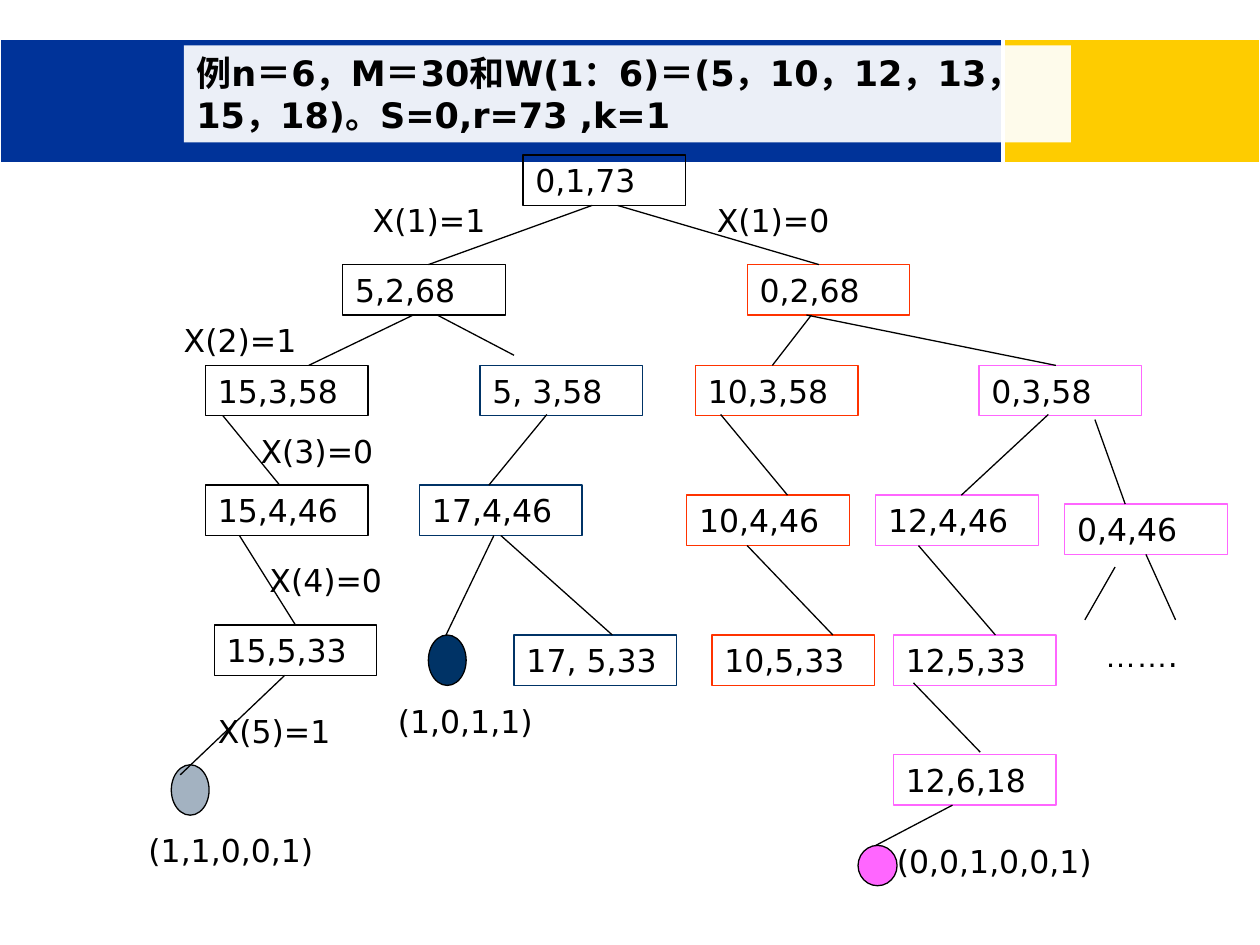
import dataclasses
import typing

import lxml.etree
import pptx
import pptx.dml.color
import pptx.enum.shapes
import pptx.enum.text
import pptx.oxml.ns
import pptx.util

PX = 9144
SIDE_TOP, SIDE_BOTTOM = 0, 2
SNAP = 3
FONT = "DejaVu Sans"
BLACK, WHITE = "000000", "FFFFFF"
NAVY, RED, PINK = "003366", "FF3300", "FF66FF"
SHAPES = pptx.enum.shapes.MSO_SHAPE


@dataclasses.dataclass(frozen=True)
class Area:
    left: int
    top: int
    width: int = 129
    height: int = 40


@dataclasses.dataclass(frozen=True)
class Node:
    text: str
    area: Area
    color: str = BLACK


@dataclasses.dataclass(frozen=True)
class Leaf:
    area: Area
    fill: str


@dataclasses.dataclass(frozen=True)
class Label:
    text: str
    area: Area


class Edge(typing.NamedTuple):
    x1: int
    y1: int
    x2: int
    y2: int


TITLE = "例n＝6，M＝30和W(1：6)＝(5，10，12，13，15，18)。S=0,r=73 ,k=1"

NODES = [
    Node("0,1,73", Area(415, 123)),
    Node("5,2,68", Area(272, 210)),
    Node("15,3,58", Area(163, 290)),
    Node("15,4,46", Area(163, 385)),
    Node("15,5,33", Area(170, 496)),
    Node("5, 3,58", Area(381, 290), NAVY),
    Node("17,4,46", Area(333, 385), NAVY),
    Node("17, 5,33", Area(408, 504), NAVY),
    Node("0,2,68", Area(593, 210), RED),
    Node("10,3,58", Area(552, 290), RED),
    Node("10,4,46", Area(545, 393), RED),
    Node("10,5,33", Area(565, 504), RED),
    Node("0,3,58", Area(777, 290), PINK),
    Node("12,4,46", Area(695, 393), PINK),
    Node("12,5,33", Area(709, 504), PINK),
    Node("12,6,18", Area(709, 599), PINK),
    Node("0,4,46", Area(845, 400), PINK),
]

LEAVES = [
    Leaf(Area(136, 607, 30, 40), "A3B2C1"),
    Leaf(Area(340, 504, 30, 40), NAVY),
    Leaf(Area(681, 671, 31, 32), PINK),
]

EDGES = [
    Edge(470, 163, 340, 210),
    Edge(490, 163, 650, 210),
    Edge(328, 250, 245, 290),
    Edge(347, 250, 408, 282),
    Edge(177, 330, 222, 385),
    Edge(190, 425, 236, 496),
    Edge(226, 536, 143, 615),
    Edge(434, 329, 388, 385),
    Edge(392, 425, 354, 504),
    Edge(395, 425, 486, 504),
    Edge(644, 250, 613, 290),
    Edge(640, 250, 838, 290),
    Edge(572, 329, 625, 393),
    Edge(593, 433, 661, 504),
    Edge(832, 329, 763, 393),
    Edge(869, 333, 893, 400),
    Edge(729, 433, 790, 504),
    Edge(725, 542, 778, 597),
    Edge(756, 639, 695, 671),
    Edge(885, 450, 861, 492),
    Edge(909, 442, 933, 492),
]

LABELS = [
    Label("X(1)=1", Area(286, 155)),
    Label("X(1)=0", Area(559, 155)),
    Label("X(2)=1", Area(136, 250)),
    Label("X(3)=0", Area(197, 338)),
    Label("X(4)=0", Area(204, 440)),
    Label("X(5)=1", Area(163, 560)),
    Label("(1,0,1,1)", Area(306, 552, 152)),
    Label("(1,1,0,0,1)", Area(108, 655, 152)),
    Label("(0,0,1,0,0,1)", Area(702, 663, 205)),
]


def rgb(color: str) -> pptx.dml.color.RGBColor:
    return pptx.dml.color.RGBColor.from_string(color)


def bounds(area: Area) -> list[int]:
    return [side * PX for side in dataclasses.astuple(area)]


def draw_shape(page, kind, area: Area, fill: str | None, line: str | None):
    shape = page.shapes.add_shape(kind, *bounds(area))
    shape.shadow.inherit = False
    if fill:
        shape.fill.solid()
        shape.fill.fore_color.rgb = rgb(fill)
    else:
        shape.fill.background()
    if line:
        shape.line.color.rgb = rgb(line)
        shape.line.width = pptx.util.Pt(0.75)
    else:
        shape.line.fill.background()
    return shape


def write_text(shape, text: str, size: int = 18, bold: bool = False):
    frame = shape.text_frame
    frame.word_wrap = True
    frame.auto_size = pptx.enum.text.MSO_AUTO_SIZE.SHAPE_TO_FIT_TEXT
    frame.vertical_anchor = pptx.enum.text.MSO_ANCHOR.TOP
    para = frame.paragraphs[0]
    para.alignment = pptx.enum.text.PP_ALIGN.LEFT
    para.font.name = FONT
    para.font.size = pptx.util.Pt(size)
    para.font.bold = bold
    para.font.color.rgb = rgb(BLACK)
    para.add_run().text = text
    return para


def draw_label(page, label: Label):
    return write_text(page.shapes.add_textbox(*bounds(label.area)), label.text)


def draw_title(page) -> None:
    box = draw_shape(page, SHAPES.RECTANGLE, Area(146, 36, 704, 77), WHITE, None)
    color = box.fill._xPr.find(".//" + pptx.oxml.ns.qn("a:srgbClr"))
    lxml.etree.SubElement(color, pptx.oxml.ns.qn("a:alpha"), val="92000")
    write_text(box, TITLE, size=20, bold=True)


def is_joined(x: int, y: int, area: Area, side: int) -> bool:
    side_y = area.top + (area.height if side == SIDE_BOTTOM else 0)
    return abs(x - area.left - area.width / 2) < SNAP and abs(y - side_y) < SNAP


def draw_edge(page, edge: Edge, boxes: list) -> None:
    straight = pptx.enum.shapes.MSO_CONNECTOR.STRAIGHT
    line = page.shapes.add_connector(straight, *[value * PX for value in edge])
    line.line.color.rgb = rgb(BLACK)
    line.line.width = pptx.util.Pt(0.75)
    lxml.etree.SubElement(line._element.spPr, pptx.oxml.ns.qn("a:effectLst"))
    for node, box in zip(NODES, boxes):
        if is_joined(edge.x1, edge.y1, node.area, SIDE_BOTTOM):
            line.begin_connect(box, SIDE_BOTTOM)
        if is_joined(edge.x2, edge.y2, node.area, SIDE_TOP):
            line.end_connect(box, SIDE_TOP)


def main() -> None:
    deck = pptx.Presentation()
    deck.slide_width, deck.slide_height = 1000 * PX, 750 * PX
    page = deck.slides.add_slide(deck.slide_layouts[6])
    draw_shape(page, SHAPES.RECTANGLE, Area(797, 31, 203, 98), "FECC00", WHITE)
    draw_shape(page, SHAPES.RECTANGLE, Area(0, 31, 795, 98), "003399", WHITE)
    draw_title(page)
    boxes = []
    for node in NODES:
        box = draw_shape(page, SHAPES.RECTANGLE, node.area, None, node.color)
        write_text(box, node.text)
        boxes.append(box)
    for leaf in LEAVES:
        draw_shape(page, SHAPES.OVAL, leaf.area, leaf.fill, BLACK)
    for edge in EDGES:
        draw_edge(page, edge, boxes)
    for label in LABELS:
        draw_label(page, label)
    dots = draw_label(page, Label("……", Area(867, 500, 133)))
    dots.runs[0].font.name = "Arial"
    dots.add_run().text = "."
    deck.save("out.pptx")


if __name__ == "__main__":
    main()
